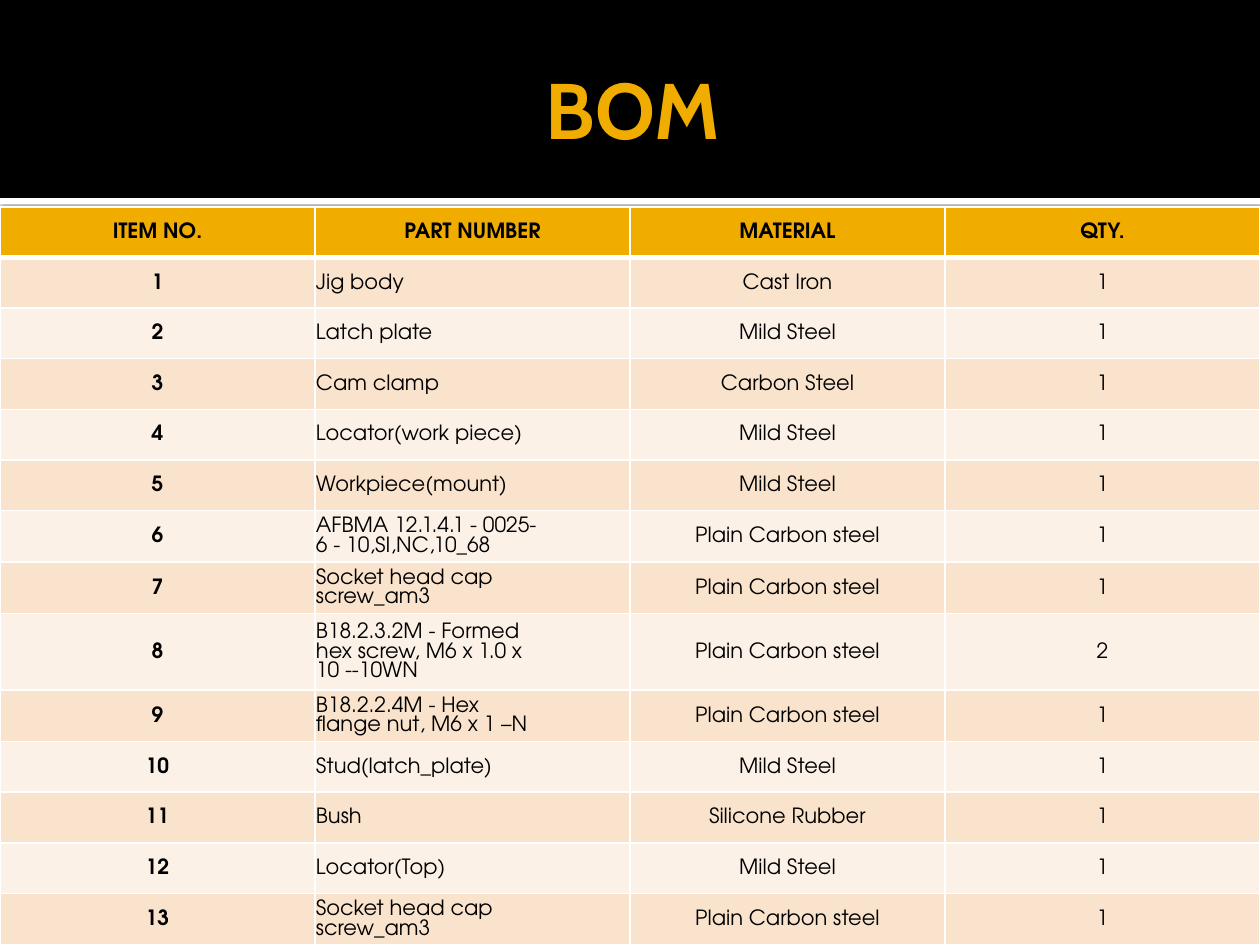
from lxml.etree import SubElement as Sub
from pptx import Presentation
from pptx.dml.color import RGBColor as Rgb
from pptx.enum.shapes import MSO_SHAPE as Kind
from pptx.enum.text import MSO_ANCHOR as Anchor, PP_ALIGN as Align
from pptx.oxml.ns import qn
from pptx.util import Cm, Pt

HUES = {"white": "FFFFFF", "black": "000000", "gold": "F0AD00",
        "dark": "F9E3CC", "light": "FCF1E7"}
HEAD = ["ITEM NO.", "PART NUMBER", "MATERIAL", "QTY."]
PARTS = [
    ("Jig body", "Cast Iron", 1),
    ("Latch plate", "Mild Steel", 1),
    ("Cam clamp", "Carbon Steel", 1),
    ("Locator(work piece)", "Mild Steel", 1),
    ("Workpiece(mount)", "Mild Steel", 1),
    ("AFBMA 12.1.4.1 - 0025-\v6 - 10,SI,NC,10_68", "Plain Carbon steel", 1),
    ("Socket head cap \vscrew_am3", "Plain Carbon steel", 1),
    ("B18.2.3.2M - Formed \vhex screw, M6 x 1.0 x \v10 --10WN",
     "Plain Carbon steel", 2),
    ("B18.2.2.4M - Hex \vflange nut, M6 x 1 –N", "Plain Carbon steel", 1),
    ("Stud(latch_plate)", "Mild Steel", 1),
    ("Bush", "Silicone Rubber", 1),
    ("Locator(Top)", "Mild Steel", 1),
    ("Socket head cap \vscrew_am3", "Plain Carbon steel", 1),
]
TALL = {1: 1.02, 2: 1.04, 3: 1.54}  # row height by number of text lines


class Deck:
    """Style and current slide."""

    def __init__(self, wide, high):
        """Start a deck with one title-only slide."""
        self.prs = Presentation()
        self.prs.slide_width, self.prs.slide_height = Cm(wide), Cm(high)
        self.wide = wide
        self.slide = self.prs.slides.add_slide(self.prs.slide_layouts[5])

    def style(self, para, font, size, hue, bold, align=Align.CENTER):
        """Format a paragraph and its runs."""
        para.alignment = align
        for run in para.runs:
            run.font.name, run.font.size = font, Pt(size)
            run.font.bold = bold
            run.font.color.rgb = Rgb.from_string(HUES[hue])

    def title(self, text, left, top, wide, high):
        """Place and format the title."""
        box = self.slide.shapes.title
        box.left, box.top, box.width, box.height = map(
            Cm, (left, top, wide, high))
        frame = box.text_frame
        frame.text = text
        frame.vertical_anchor = Anchor.MIDDLE
        frame.margin_left = Cm(0.25)
        frame.margin_right = frame.margin_top = frame.margin_bottom = Cm(0.13)
        self.style(frame.paragraphs[0], "Cabin", 45, "gold", True)

    def band(self, top, high, hue):
        """Add a full-width band behind the title."""
        bar = self.slide.shapes.add_shape(
            Kind.RECTANGLE, 0, Cm(top), Cm(self.wide), Cm(high))
        bar.fill.solid()
        bar.fill.fore_color.rgb = Rgb.from_string(HUES[hue])
        bar.line.fill.background()
        bar.shadow.inherit = False
        self.slide.shapes.title.element.addprevious(bar.element)
        return bar

    def shade(self, bar):
        """Give a band a soft shadow below it."""
        glow = Sub(bar.element.spPr.find(qn("a:effectLst")),
                   qn("a:outerShdw"), blurRad=str(Pt(2.5)),
                   dist=str(Pt(0.8)), dir="5400000", rotWithShape="0")
        tint = Sub(glow, qn("a:srgbClr"), val=HUES["black"])
        Sub(tint, qn("a:alpha"), val="60000")

    def edge(self, cell, side, size):
        """Draw one white cell border."""
        line = Sub(cell, qn("a:" + side), w=str(Pt(size)))
        Sub(Sub(line, qn("a:solidFill")), qn("a:srgbClr"), val=HUES["white"])

    def cell(self, cell, text, hue, bold, align, base):
        """Fill, border and label one cell."""
        cell.text_frame.text = text
        cell.vertical_anchor = Anchor.MIDDLE
        cell.margin_left = cell.margin_right = cell.margin_top = Cm(0.02)
        cell.margin_bottom = 0
        self.style(cell.text_frame.paragraphs[0], "TeX Gyre Adventor", 12,
                   "black", bold, align)
        props = cell._tc.get_or_add_tcPr()
        for side, size in (("lnL", 1), ("lnR", 1), ("lnT", 1), ("lnB", base)):
            self.edge(props, side, size)
        cell.fill.solid()
        cell.fill.fore_color.rgb = Rgb.from_string(HUES[hue])

    def table(self, rows, top):
        """Add the full-width parts table."""
        highs = [TALL[row[1].count("\v") + 1] for row in rows]
        cols = len(rows[0])
        grid = self.slide.shapes.add_table(
            len(rows), cols, 0, Cm(top), Cm(self.wide), Cm(sum(highs))).table
        for col in grid.columns:
            col.width = Cm(self.wide / cols)
        for i, row in enumerate(rows):
            grid.rows[i].height = Cm(highs[i])
            hue = ("light", "dark")[i % 2] if i else "gold"
            for j, text in enumerate(row):
                align = Align.LEFT if i and j == 1 else Align.CENTER
                # The rule under the header and the one over row 1 are shared.
                self.cell(grid.cell(i, j), text, hue, i == 0 or j == 0,
                          align, 1 if i else 3)


deck = Deck(25.4, 19.05)
deck.shade(deck.band(3.99, 0.13, "white"))
deck.band(0, 3.99, "black")
deck.title("BOM", 1.27, 0.43, 22.86, 3.48)
rows = [HEAD] + [[str(n), name, stuff, str(qty)]
                 for n, (name, stuff, qty) in enumerate(PARTS, 1)]
deck.table(rows, 4.17)
deck.prs.save("out.pptx")
